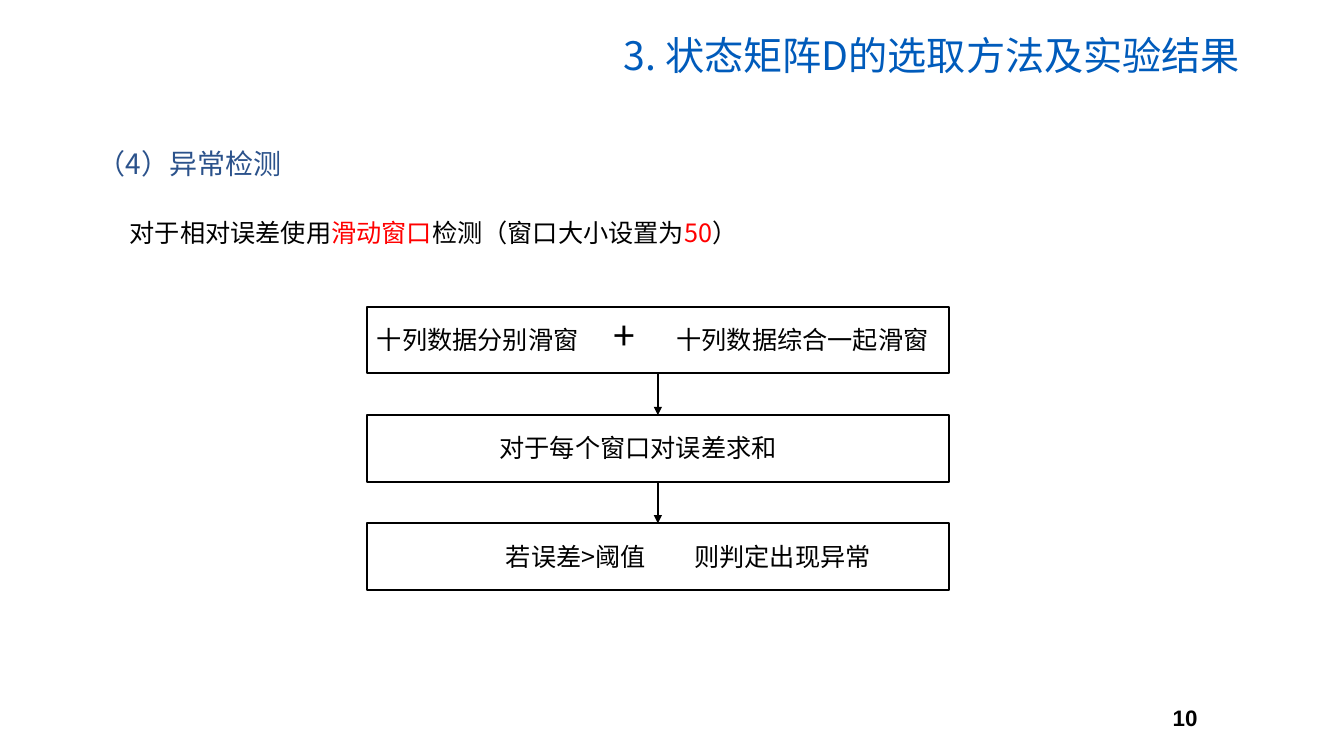
from lxml import etree
from pptx import Presentation
from pptx.dml.color import RGBColor
from pptx.enum.shapes import MSO_CONNECTOR, MSO_SHAPE
from pptx.enum.text import MSO_ANCHOR, PP_ALIGN
from pptx.oxml.ns import qn
from pptx.util import Cm, Pt

RECTANGLE = MSO_SHAPE.RECTANGLE
STRAIGHT = MSO_CONNECTOR.STRAIGHT
TOP, MIDDLE = MSO_ANCHOR.TOP, MSO_ANCHOR.MIDDLE
LEFT, RIGHT = PP_ALIGN.LEFT, PP_ALIGN.RIGHT

CJK_FONT = "Noto Sans CJK SC"
BLACK, RED = "000000", "FF0000"
TITLE_BLUE, HEADING_BLUE = "005BBB", "2B528B"

# Flow geometry in centimetres
STEP_LEFT, STEP_TOP = 9.25, 7.73
STEP_WIDTH, STEP_HEIGHT, STEP_PITCH = 14.66, 1.68, 2.73
STEP_COUNT = 3
LABEL_OFFSET = 0.32


def color(hex_value):
    return RGBColor.from_string(hex_value)


def add_text(slide, text, left, top, width, height=1.02, size=18, font=CJK_FONT,
             fill=BLACK, bold=False, align=LEFT, anchor=TOP):
    """Add a text box; text is a string or a list of (text, colour) pairs."""
    box = slide.shapes.add_textbox(Cm(left), Cm(top), Cm(width), Cm(height))
    frame = box.text_frame
    frame.word_wrap = True
    frame.vertical_anchor = anchor
    paragraph = frame.paragraphs[0]
    paragraph.alignment = align
    parts = [(text, fill)] if isinstance(text, str) else text
    for words, words_color in parts:
        run = paragraph.add_run()
        run.text = words
        run.font.size = Pt(size)
        run.font.bold = bold
        run.font.color.rgb = color(words_color)
        run.font.name = font
        east_asian = etree.SubElement(run.font._element, qn("a:ea"))
        east_asian.set("typeface", font)
    return frame


def add_step_frame(slide, top):
    step = slide.shapes.add_shape(RECTANGLE, Cm(STEP_LEFT), Cm(top),
                                  Cm(STEP_WIDTH), Cm(STEP_HEIGHT))
    step.shadow.inherit = False
    step.fill.background()
    step.line.color.rgb = color(BLACK)
    step.line.width = Pt(1.5)


def add_down_arrow(slide, x, top, bottom):
    arrow = slide.shapes.add_connector(STRAIGHT, Cm(x), Cm(top), Cm(x), Cm(bottom))
    arrow.line.color.rgb = color(BLACK)
    arrow.line.width = Pt(1.5)
    properties = arrow._element.spPr
    line = properties.find(qn("a:ln"))
    etree.SubElement(line, qn("a:tailEnd")).set("type", "triangle")
    etree.SubElement(properties, qn("a:effectLst"))


def main():
    presentation = Presentation()
    presentation.slide_width = Cm(33.87)
    presentation.slide_height = Cm(19.05)
    slide = presentation.slides.add_slide(presentation.slide_layouts[6])

    # Slide number
    number = add_text(slide, "10", 28.5, 17.35, 2.01, 1.47, size=16, font="Arial",
                      bold=True, align=RIGHT, anchor=MIDDLE)
    number.margin_left = number.margin_right = Cm(0.33)
    number.margin_top = number.margin_bottom = Cm(0.18)

    # Title and introduction
    add_text(slide, "3. 状态矩阵D的选取方法及实验结果", 15.14, 0.66, 16.36, 1.45,
             size=28, fill=TITLE_BLUE, align=RIGHT)
    add_text(slide, "（4）异常检测", 2.21, 3.56, 11.13, 1.12, size=20, fill=HEADING_BLUE)
    add_text(slide, [("对于相对误差使用", BLACK), ("滑动窗口", RED),
                     ("检测（窗口大小设置为", BLACK), ("50", RED), ("）", BLACK)],
             3.02, 5.36, 18.59)

    # Step frames joined by arrows
    step_tops = [STEP_TOP + i * STEP_PITCH for i in range(STEP_COUNT)]
    for top in step_tops:
        add_step_frame(slide, top)
    for top, next_top in zip(step_tops, step_tops[1:]):
        add_down_arrow(slide, STEP_LEFT + STEP_WIDTH / 2, top + STEP_HEIGHT, next_top)

    # Step wording: step index, text, left, width
    labels = [
        (0, "十列数据分别滑窗", 9.25, 9.32),
        (0, "十列数据综合一起滑窗", 16.8, 9.32),
        (1, "对于每个窗口对误差求和", 12.34, 9.32),
        (2, "若误差>阈值", 12.5, 4.75),
        (2, "则判定出现异常", 17.25, 6.17),
    ]
    for step, words, left, width in labels:
        add_text(slide, words, left, step_tops[step] + LABEL_OFFSET, width)
    add_text(slide, "+", 15.21, STEP_TOP, 1.14, 1.45, size=28)

    presentation.save("out.pptx")


if __name__ == "__main__":
    main()
